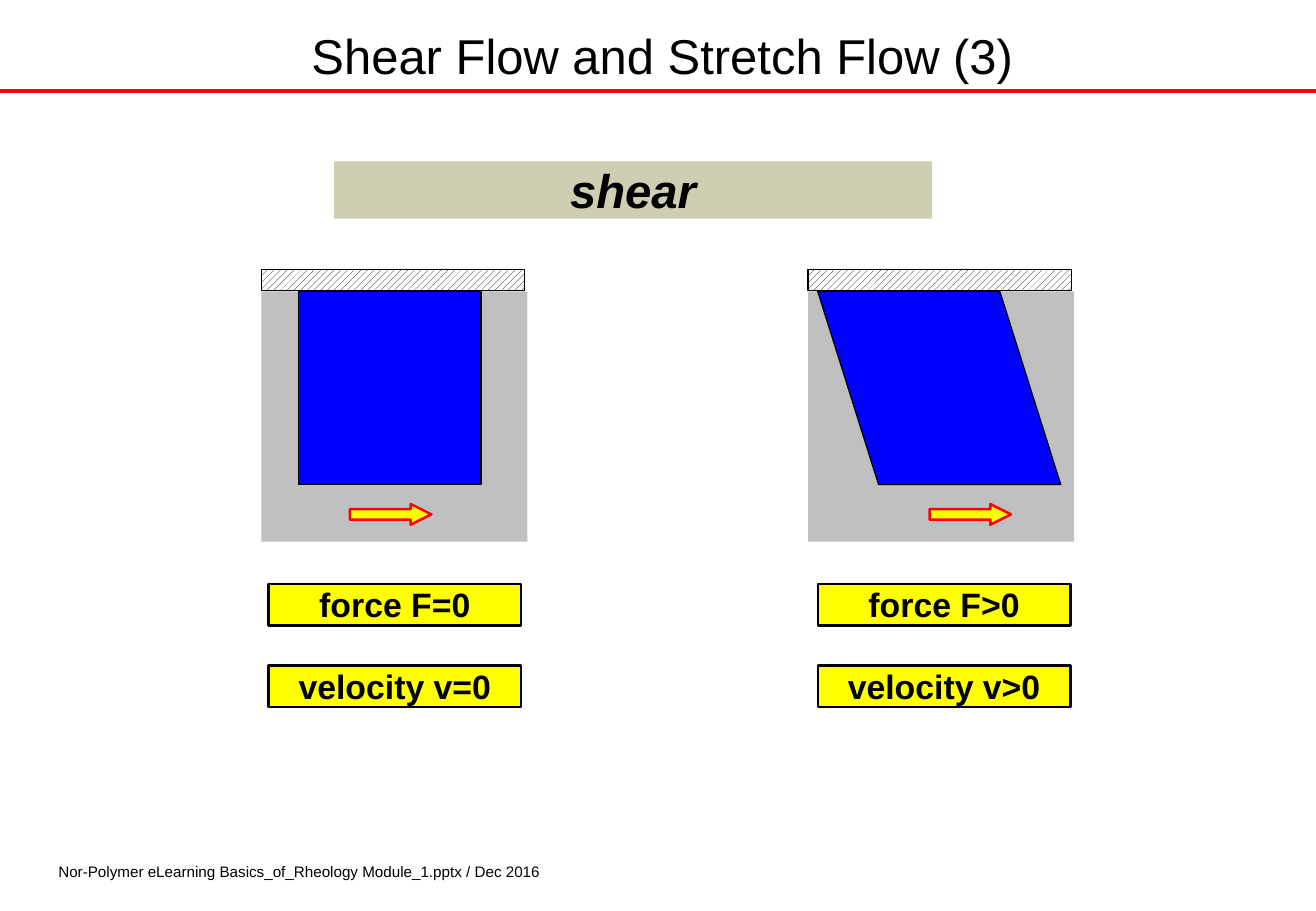
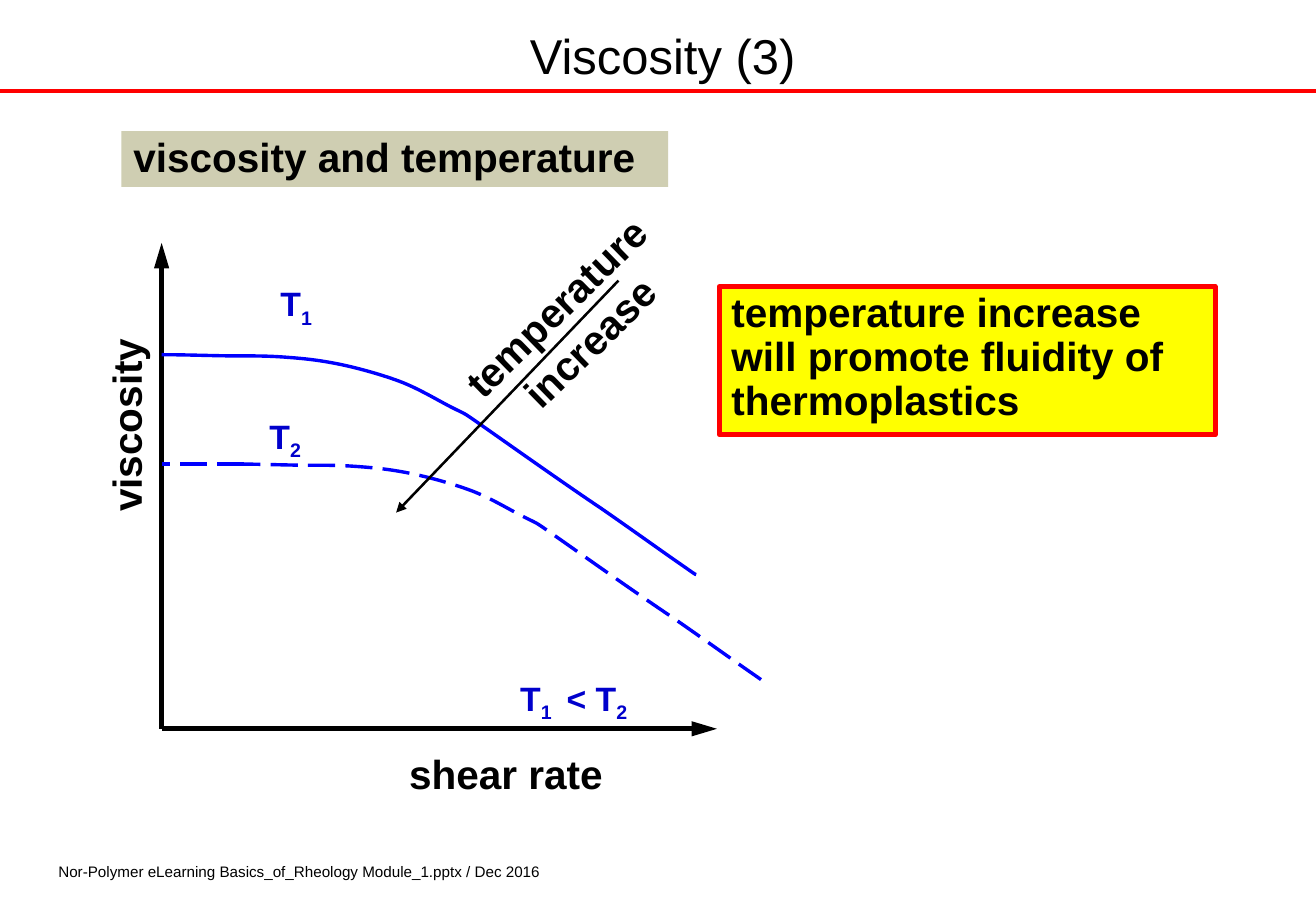
import pptx
import pptx.util
import pptx.dml.color
import pptx.enum.dml
import pptx.enum.shapes
import pptx.enum.text
import pptx.oxml.ns
import lxml.etree

RGB = pptx.dml.color.RGBColor
BLACK = RGB(0x00, 0x00, 0x00)
WHITE = RGB(0xFF, 0xFF, 0xFF)
RED = RGB(0xFF, 0x00, 0x00)
YELLOW = RGB(0xFF, 0xFF, 0x00)
BLUE = RGB(0x00, 0x00, 0xFF)
NAVY = RGB(0x00, 0x00, 0xCC)
GREY = RGB(0xC0, 0xC0, 0xC0)
SAND = RGB(0xCF, 0xCE, 0xB2)

FONT = "Arial"
SCALE = 9144  # EMU per px, 100 px to the inch
WIDTH, HEIGHT = 1083, 750
FOOTER = "Nor-Polymer eLearning Basics_of_Rheology Module_1.pptx / Dec 2016"

SHAPE = pptx.enum.shapes.MSO_SHAPE
ALIGN = pptx.enum.text.PP_ALIGN
ANCHOR = pptx.enum.text.MSO_ANCHOR
DASH = pptx.enum.dml.MSO_LINE.LONG_DASH
qn = pptx.oxml.ns.qn


def px(*nums):
    return [pptx.util.Emu(round(n * SCALE)) for n in nums]


def write(shape, text, size=24, color=BLACK, bold=True, italic=False,
          align=ALIGN.CENTER, anchor=ANCHOR.TOP, pad=(10, 0), space=None):
    """Fill a shape with text; in a tuple every second part is a subscript."""
    frame = shape.text_frame
    frame.word_wrap = True
    frame.auto_size = pptx.enum.text.MSO_AUTO_SIZE.NONE
    frame.vertical_anchor = anchor
    frame.margin_left = frame.margin_right = px(pad[0])[0]
    frame.margin_top = frame.margin_bottom = px(pad[1])[0]
    para = frame.paragraphs[0]
    para.alignment = align
    para.space_before = pptx.util.Pt(0)
    if space:
        para.line_spacing = space
    parts = (text,) if isinstance(text, str) else text
    for i, part in enumerate(parts):
        run = para.add_run()
        run.text = part
        font = run.font
        font.name, font.size = FONT, pptx.util.Pt(size)
        font.bold, font.italic = bold, italic
        font.color.rgb = color
        if i % 2:
            run._r.get_or_add_rPr().set("baseline", "-25000")


def stroke(line, color, width, dash=None):
    line.color.rgb = color
    line.width = pptx.util.Pt(width)
    if dash:
        line.dash_style = dash


def block(slide, box, fill, edge=None, width=0.75, kind=SHAPE.RECTANGLE):
    shape = slide.shapes.add_shape(kind, *px(*box))
    shape.shadow.inherit = False
    shape.fill.solid()
    shape.fill.fore_color.rgb = fill
    if edge is None:
        shape.line.fill.background()
    else:
        stroke(shape.line, edge, width)
    return shape


def label(slide, box, text, turn=0, **form):
    shape = slide.shapes.add_textbox(*px(*box))
    shape.rotation = turn
    write(shape, text, **form)
    return shape


def rule(slide, start, end, color, width, dash=None, head=None):
    """Straight line; head is the length of its arrowhead."""
    shape = slide.shapes.add_connector(
        pptx.enum.shapes.MSO_CONNECTOR.STRAIGHT, *px(*start, *end))
    stroke(shape.line, color, width, dash)
    if head:
        lxml.etree.SubElement(shape.line._get_or_add_ln(), qn("a:tailEnd"),
                              type="triangle", w="med", len=head)
    lxml.etree.SubElement(shape.element.spPr, qn("a:effectLst"))
    return shape


def curve(slide, points, dash=None):
    """Bezier path: a start, then three points for each segment."""
    build = slide.shapes.build_freeform(*points[0], scale=SCALE)
    build.add_line_segments(points[1:], close=False)
    shape = build.convert_to_shape()
    shape.shadow.inherit = False
    shape.fill.background()
    stroke(shape.line, BLUE, 2, dash)
    path = shape.element.find(".//" + qn("a:path"))
    lines = path.findall(qn("a:lnTo"))
    for i in range(0, len(lines), 3):
        bend = lxml.etree.SubElement(path, qn("a:cubicBezTo"))
        for step in lines[i:i + 3]:
            bend.append(step[0])
            path.remove(step)


def dress(layout, slide):
    """Put the title place, red rule and footer on the layout."""
    for hold in list(layout.placeholders):
        if hold.placeholder_format.idx:
            hold.element.getparent().remove(hold.element)
        else:
            hold.left, hold.top, hold.width, hold.height = px(31, 21, 1029, 49)
    line = rule(slide, (0, 75), (WIDTH, 75), RED, 2.25)
    foot = label(slide, (39, 705, 424, 24), FOOTER, size=9, bold=False,
                 align=ALIGN.LEFT, pad=(9, 5))
    for shape in (line, foot):
        layout.shapes.element.append(shape.element)


def head(slide, text):
    write(slide.shapes.title, text, size=29, bold=False,
          anchor=ANCHOR.MIDDLE, pad=(9, 0))


def panel(slide, left, top, body, arrow, tags, texts):
    """Sheared block under a fixed plate; body is (kind, offset, width)."""
    block(slide, (left, top + 18, 219, 206), GREY)
    plate = block(slide, (left, top, 217, 17), WHITE, BLACK)
    plate.fill.patterned()
    plate.fill.pattern = pptx.enum.dml.MSO_PATTERN.WIDE_UPWARD_DIAGONAL
    plate.fill.fore_color.rgb = BLACK
    plate.fill.back_color.rgb = WHITE

    kind, shift, width = body
    solid = block(slide, (left + shift, top + 18, width, 159), BLUE, BLACK,
                  kind=kind)
    if kind == SHAPE.PARALLELOGRAM:
        solid.adjustments[0] = 0.315
        solid.element.spPr.find(qn("a:xfrm")).set("flipV", "1")

    push = block(slide, (left + arrow, top + 193, 67, 17), YELLOW, RED, 1.5,
                 SHAPE.RIGHT_ARROW)
    push.adjustments[0], push.adjustments[1] = 0.5, 1
    for i, text in enumerate(texts):
        tag = block(slide, (left + tags, top + 259 + 67 * i, 208, 34),
                    YELLOW, BLACK, 1.5)
        write(tag, text, size=20)


def shear(slide):
    head(slide, "Shear Flow and Stretch Flow (3)")
    band = block(slide, (275, 133, 492, 47), SAND)
    write(band, "shear", size=28, italic=True, pad=(9, 0))
    panel(slide, 215, 222, (SHAPE.RECTANGLE, 31, 150), 73, 6,
          ("force F=0", "velocity v=0"))
    panel(slide, 665, 222, (SHAPE.PARALLELOGRAM, 8, 200), 100, 8,
          ("force F>0", "velocity v>0"))


# Flow curve, relative to its start on the viscosity axis
FLOW = [(0, 0), (22, 0), (44, 1), (61, 1), (78, 1), (87, 1), (101, 2),
        (115, 3), (126, 4), (142, 7), (158, 10), (180, 16), (196, 22),
        (212, 28), (228, 38), (240, 44), (252, 50), (246, 46), (266, 60),
        (286, 74), (334, 108), (361, 126), (387, 144), (412, 162), (425, 171),
        (438, 180), (439, 181), (440, 181)]


def graph(slide, left, base):
    """Viscosity over shear rate, from the origin of the axes."""
    def at(x, y):
        return left + x, base + y

    # Axes
    label(slide, (*at(-113, -270), 167, 40), "viscosity", turn=270)
    label(slide, (*at(175, 17), 217, 40), "shear rate")
    for end in (at(0, -400), at(457, 0)):
        rule(slide, (left, base), end, BLACK, 3, head="lg")

    # Curves
    rule(slide, at(68, -218), at(0, -218), BLUE, 2, DASH)
    for (x, y), dash in ((at(0, -308), None), (at(59, -218), DASH)):
        curve(slide, [(x + a, y + b) for a, b in FLOW], dash)

    # Temperature marks
    for x, y, width, text in (
            (84, -367, 58, ("T", "1 ")),
            (75, -258, 58, ("T", "2 ")),
            (275, -42, 133, ("T", "1 ", " < T", "2 "))):
        label(slide, (*at(x, y), width, 33), text, size=20, color=NAVY)
    label(slide, (*at(225, -373), 227, 81), "temperature increase", turn=315.7)
    rule(slide, at(376, -369), at(193, -178), BLACK, 1.5, head="med")


def heat(slide):
    head(slide, "Viscosity (3)")
    form = dict(align=ALIGN.LEFT, pad=(10, 5), space=0.9)
    write(block(slide, (100, 108, 450, 46), SAND),
          "viscosity and temperature", **form)
    graph(slide, 133, 600)
    write(block(slide, (592, 236, 408, 122), YELLOW, RED, 3),
          "temperature increase will promote fluidity of thermoplastics",
          **form)


def main():
    deck = pptx.Presentation()
    deck.slide_width, deck.slide_height = px(WIDTH, HEIGHT)
    layout = deck.slide_layouts.get_by_name("Title Only")
    first, second = [deck.slides.add_slide(layout) for _ in range(2)]
    dress(layout, first)
    shear(first)
    heat(second)
    deck.save("out.pptx")


if __name__ == "__main__":
    main()
